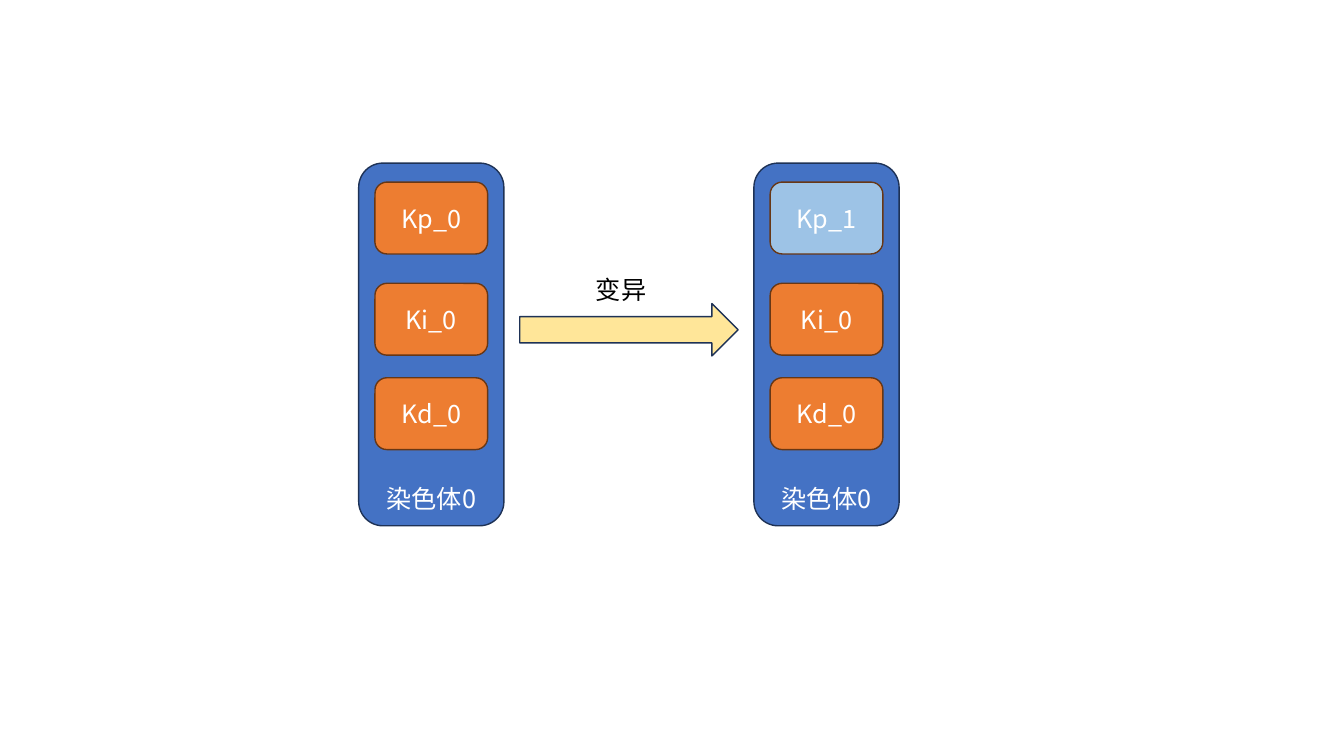
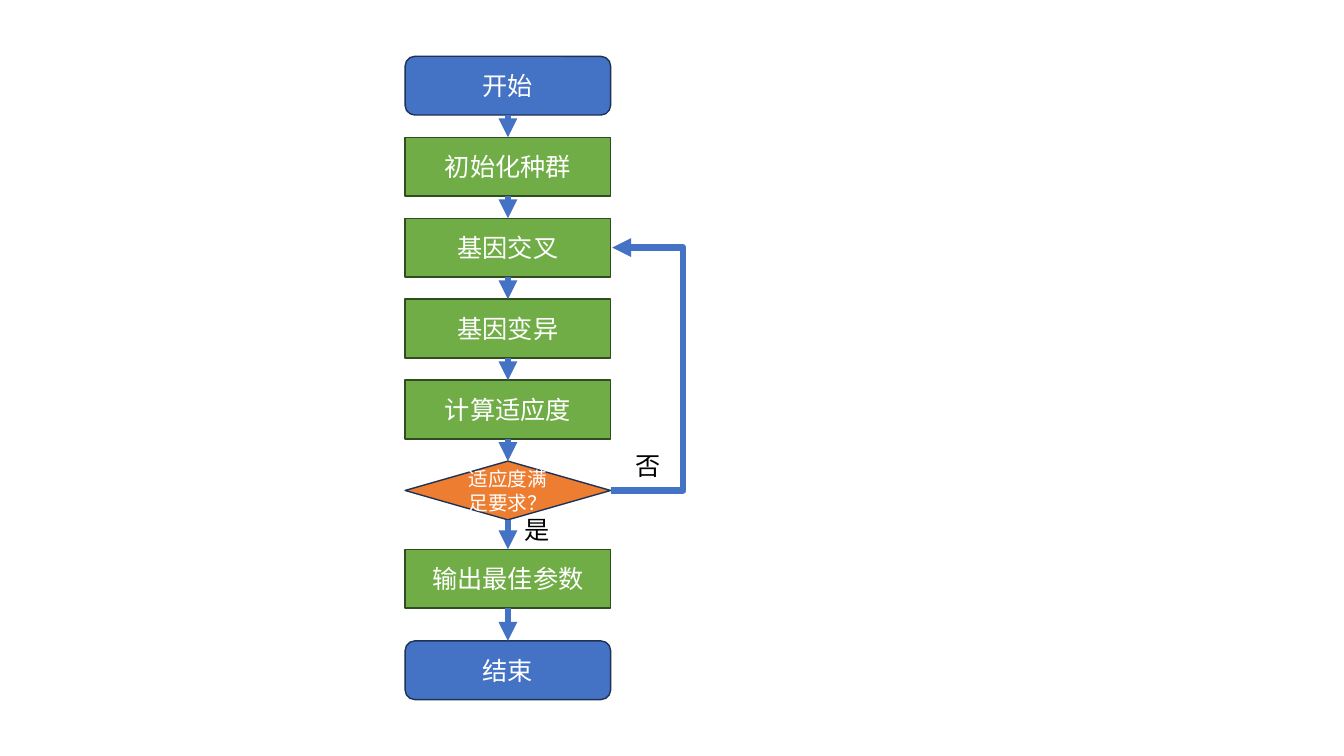
from itertools import pairwise

from lxml.etree import SubElement
from pptx import Presentation
from pptx.dml.color import RGBColor
from pptx.enum.shapes import MSO_CONNECTOR as Link, MSO_SHAPE as Kind
from pptx.enum.text import MSO_ANCHOR as Anchor, PP_ALIGN as Align
from pptx.oxml.ns import qn
from pptx.util import Cm, Pt

FONT = "Noto Sans CJK SC"
WHITE, BLACK = "FFFFFF", "000000"
BLUE, NAVY = "4472C4", "1E3256"
ORANGE, BROWN = "ED7D31", "683715"
GREEN, MOSS = "70AD47", "314C1F"
SKY, CREAM = "9DC3E6", "FFE699"


def paint(item, color):
    item.rgb = RGBColor.from_string(color)


def write(frame, text, color, size=18, align=Align.CENTER):
    para = frame.paragraphs[0]
    para.text = text
    para.alignment = align
    font = para.font
    font.size = Pt(size)
    font.fill.solid()
    paint(font.color, color)
    font.name = FONT
    props = para._p.get_or_add_pPr().find(qn("a:defRPr"))
    SubElement(props, qn("a:ea")).set("typeface", FONT)


def block(slide, kind, box, fill, edge, text="", size=18, anchor=Anchor.MIDDLE):
    shape = slide.shapes.add_shape(kind, *map(Cm, box))
    shape.shadow.inherit = False
    shape.fill.solid()
    paint(shape.fill.fore_color, fill)
    paint(shape.line.color, edge)
    shape.line.width = Pt(1)
    if text:
        shape.text_frame.vertical_anchor = anchor
        write(shape.text_frame, text, WHITE, size)
    return shape


def label(slide, box, text):
    frame = slide.shapes.add_textbox(*map(Cm, box)).text_frame
    frame.word_wrap = False
    write(frame, text, BLACK, align=Align.LEFT)


def arrow(slide, kind, start, end):
    line = slide.shapes.add_connector(kind, *map(Cm, start + end))
    paint(line.line.color, BLUE)
    line.line.width = Pt(4.5)
    props = line._element.spPr
    SubElement(props.find(qn("a:ln")), qn("a:tailEnd")).set("type", "triangle")
    SubElement(props, qn("a:effectLst"))
    return line


def strand(slide, box, name, genes):
    left, top, width, height = box
    block(slide, Kind.ROUNDED_RECTANGLE, box, BLUE, NAVY, name,
          anchor=Anchor.BOTTOM)
    wide, high = 2.84, 1.81
    for (text, fill), drop in zip(genes, (0.48, 3.03, 5.41)):
        spot = (left + (width - wide) / 2, top + drop, wide, high)
        block(slide, Kind.ROUNDED_RECTANGLE, spot, fill, BROWN, text)


def mutate(slide, box):
    left, top, width, height = box
    wide = 3.66
    rest = [("Ki_0", ORANGE), ("Kd_0", ORANGE)]
    strand(slide, (left, top, wide, height), "染色体0",
           [("Kp_0", ORANGE)] + rest)
    strand(slide, (left + width - wide, top, wide, height), "染色体0",
           [("Kp_1", SKY)] + rest)
    gap = 0.4
    start = left + wide + gap
    span = width - 2 * (wide + gap)
    block(slide, Kind.RIGHT_ARROW, (start, top + 3.54, span, 1.32), CREAM, NAVY)
    label(slide, (start + 1.67, top + 2.67, 1.8, 1.03), "变异")


def loop(slide, start, end, reach):
    line = arrow(slide, Link.ELBOW, start, end)
    geom = line._element.spPr.find(qn("a:prstGeom"))
    guide = SubElement(geom.find(qn("a:avLst")), qn("a:gd"))
    guide.set("name", "adj1")
    ratio = reach / (end[0] - start[0])
    guide.set("fmla", f"val {round(ratio * 100000)}")


def flow(slide, box):
    left, top, width, high = box
    step = 2.04
    ends = (Kind.FLOWCHART_ALTERNATE_PROCESS, BLUE, NAVY)
    work = (Kind.FLOWCHART_PROCESS, GREEN, MOSS)
    test = (Kind.FLOWCHART_DECISION, ORANGE, NAVY)
    steps = [
        ("开始", ends, 0), ("初始化种群", work, step),
        ("基因交叉", work, 2 * step), ("基因变异", work, 3 * step),
        ("计算适应度", work, 4 * step), ("适应度满足要求？", test, 5 * step),
        ("输出最佳参数", work, 12.42), ("结束", ends, 14.73),
    ]
    nodes = []
    for text, style, drop in steps:
        kind, fill, edge = style
        size = 14 if style is test else 18
        nodes.append(block(slide, kind, (left, top + drop, width, high),
                           fill, edge, text, size))
    for above, below in pairwise(nodes):
        line = arrow(slide, Link.STRAIGHT, (0, 0), (0, 0))
        line.begin_connect(above, 2)
        line.end_connect(below, 0)
    right, mid = left + width, top + high / 2
    loop(slide, (right, mid + 5 * step), (right + 0.04, mid + 2 * step), 1.83)
    label(slide, (right + 0.38, top + 9.81, 1.14, 1.03), "否")
    label(slide, (left + 2.75, top + 11.42, 1.14, 1.03), "是")


def main():
    deck = Presentation()
    deck.slide_width, deck.slide_height = Cm(33.87), Cm(19.05)
    blank = deck.slide_layouts[6]
    mutate(deck.slides.add_slide(blank), (9.04, 4.11, 13.62, 9.14))
    flow(deck.slides.add_slide(blank), (10.21, 1.42, 5.18, 1.48))
    deck.save("out.pptx")


if __name__ == "__main__":
    main()
